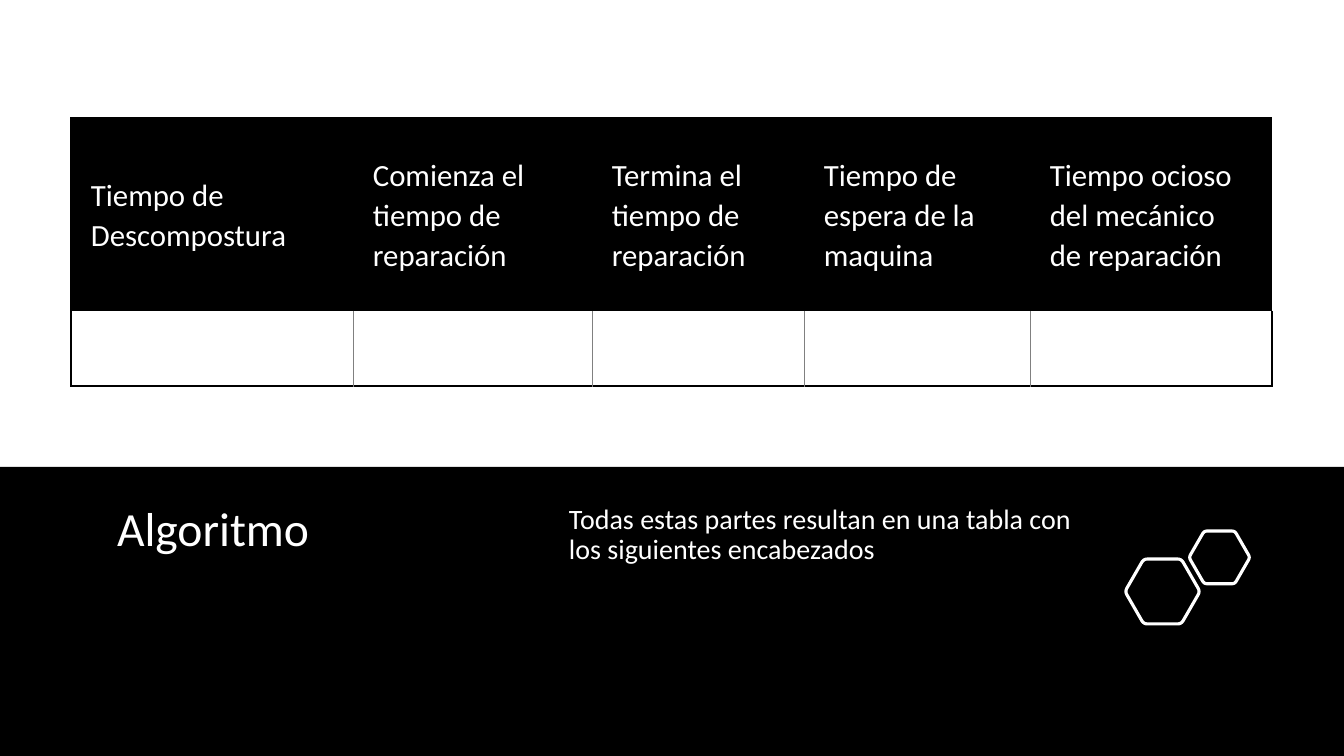
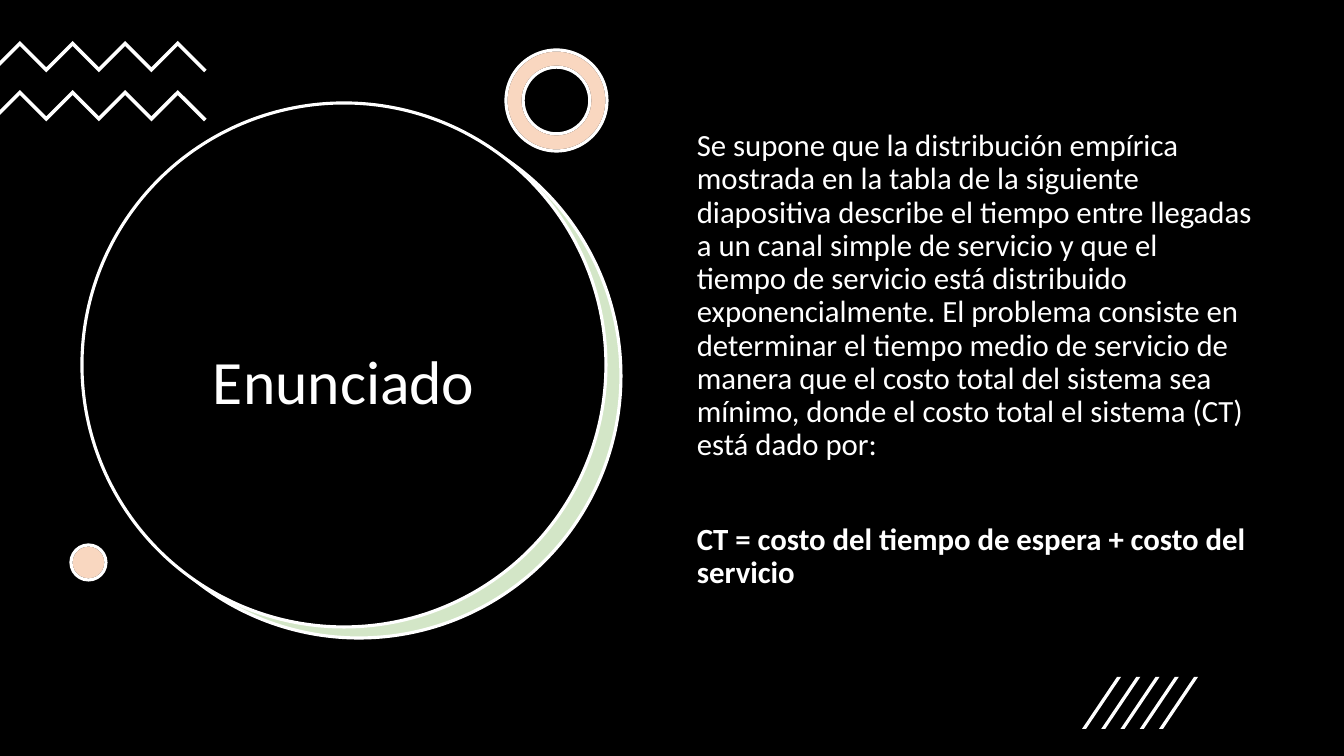
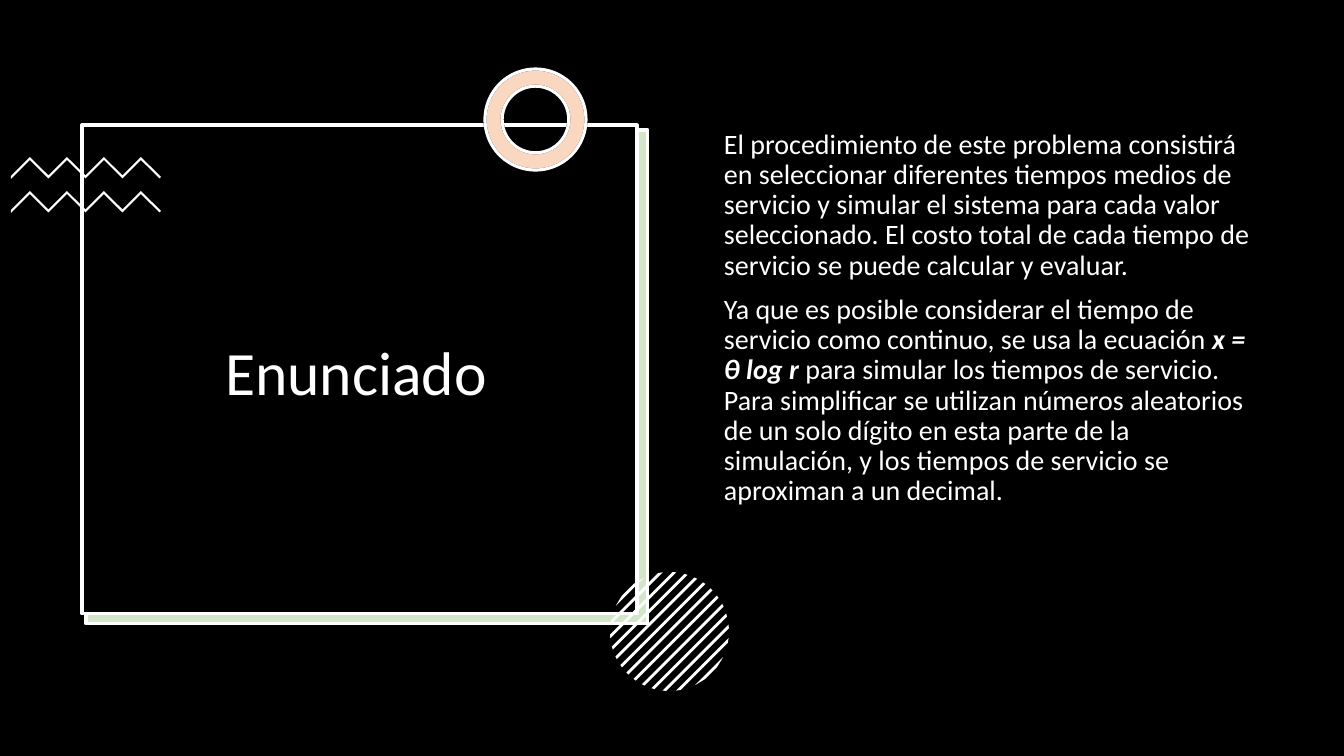
from math import cos, pi, sin, sqrt

from lxml.etree import SubElement
from pptx import Presentation
from pptx.dml.color import RGBColor
from pptx.enum.shapes import MSO_SHAPE as Kind
from pptx.enum.text import MSO_ANCHOR as Anchor, MSO_AUTO_SIZE as Fit, PP_ALIGN as Align
from pptx.oxml.ns import qn
from pptx.util import Emu, Pt

PX = 914400 / 100.8
WIDE, HIGH = 1344, 756
FONT = "Calibri"
BLACK, WHITE, GRAY = "000000", "FFFFFF", "808080"
GREEN, PEACH = "70AD47", "ED7D31"
NO_GRID = "{2D5ABB26-0587-4C30-8999-92F81FD0307C}"

HEADS = [
    ("Tiempo de Descompostura", 282),
    ("Comienza el tiempo de reparación", 239),
    ("Termina el tiempo de reparación", 212),
    ("Tiempo de espera de la maquina", 226),
    ("Tiempo ocioso del mecánico de reparación", 242),
]
CLAIM = (
    "Se supone que la distribución empírica mostrada en la tabla de la siguiente "
    "diapositiva describe el tiempo entre llegadas a un canal simple de servicio y "
    "que el tiempo de servicio está distribuido exponencialmente. El problema "
    "consiste en determinar el tiempo medio de servicio de manera que el costo total "
    "del sistema sea mínimo, donde el costo total el sistema (CT) está dado por:"
)
COST = "CT = costo del tiempo de espera + costo del servicio"
STEPS = (
    "El procedimiento de este problema consistirá en seleccionar diferentes tiempos "
    "medios de servicio y simular el sistema para cada valor seleccionado. El costo "
    "total de cada tiempo de servicio se puede calcular y evaluar."
)
MODEL = [
    "Ya que es posible considerar el tiempo de servicio como continuo, se usa la ecuación ",
    "x = θ log r",
    " para simular los tiempos de servicio. Para simplificar se utilizan números "
    "aleatorios de un solo dígito en esta parte de la simulación, y los tiempos de "
    "servicio se aproximan a un decimal.",
]


def px(num):
    """Turn px into EMU."""
    return Emu(round(num * PX))


def hue(code):
    """Turn a hex string into a colour."""
    return RGBColor.from_string(code)


def paint(shape, fill=None, edge=None, alpha=None):
    """Set the fill, outline and opacity of a shape."""
    shape.shadow.inherit = False
    if fill:
        shape.fill.solid()
        shape.fill.fore_color.rgb = hue(fill)
    else:
        shape.fill.background()
    if alpha:
        color = shape._element.spPr.find(qn("a:solidFill"))[0]
        SubElement(color, qn("a:alpha")).set("val", str(alpha * 1000))
    if edge:
        shape.line.color.rgb = hue(edge)
        shape.line.width = Pt(2.25)
    else:
        shape.line.fill.background()
    return shape


def draw(slide, kind, box, *look):
    """Add a painted preset shape."""
    return paint(slide.shapes.add_shape(kind, *map(px, box)), *look)


def trace(slide, points, *look):
    """Add a painted closed outline through points in px."""
    first, *rest = [(px(x), px(y)) for x, y in points]
    pen = slide.shapes.build_freeform(*first, scale=1.0)
    pen.add_line_segments(rest, close=True)
    return paint(pen.convert_to_shape(), *look)


def style(para, size, before=0, lead=0.9):
    """Set the font and spacing of a paragraph."""
    para.line_spacing = lead
    para.space_before = Pt(before)
    para.font.name = FONT
    para.font.size = Pt(size)
    para.font.color.rgb = hue(WHITE)


def title(slide, text, box, size, align, anchor):
    """Place the title above what is drawn so far."""
    head = slide.shapes.title
    slide.shapes._spTree.append(head._element)
    head.left, head.top, head.width, head.height = map(px, box)
    frame = head.text_frame
    frame.text = text
    frame.auto_size = Fit.NONE
    frame.vertical_anchor = anchor
    para = frame.paragraphs[0]
    style(para, size)
    para.alignment = align


def body(slide, box, size, paras, gap=10):
    """Add a text box; each paragraph is a list of runs."""
    frame = slide.shapes.add_textbox(*map(px, box)).text_frame
    frame.word_wrap = True
    for i, runs in enumerate(paras):
        para = frame.add_paragraph() if i else frame.paragraphs[0]
        style(para, size, gap if i else 0)
        for text in runs:
            para.add_run().text = text
    return frame.paragraphs


def frost(slide, kind, box, color, edge=None):
    """Lay a sheer tint over a white shape."""
    base = draw(slide, kind, box, WHITE, edge)
    return base, draw(slide, kind, box, color, WHITE, 30)


def card(slide, kind, back, front):
    """Draw a black card over its green offset."""
    frost(slide, kind, back, GREEN)
    draw(slide, kind, front, BLACK, WHITE)


def ring(slide, x, y):
    """Draw the peach ring."""
    for part in frost(slide, Kind.DONUT, (x, y, 101, 101), PEACH, BLACK):
        part.adjustments[0] = 0.17


def zigzag(slide, x, y, run, thick, lead, drop):
    """Draw two zigzag bands whose first peak is at x, y."""
    for top in (y, y + drop):
        turns = [(x + i * run, top + i % 2 * run) for i in range(7)]
        end, low = x + 7 * run, top + run
        upper = [(x - lead, top + lead), *turns, (end + thick / 2, low + thick / 2)]
        under = [(x - lead, top + lead), *turns, (end, low)]
        trace(slide, upper + [(a, b + thick) for a, b in reversed(under)], WHITE)


def slashes(slide, x, y, wide, high, count=5):
    """Draw equally spaced slanted bars in a box."""
    span, thick = 39, 4
    for i in range(count):
        left = x + i * (wide - span) / (count - 1)
        right = left + span
        trace(slide, [(left, y + high), (left + thick, y + high),
                      (right, y), (right - thick, y)], WHITE)


def hatch(slide, x, y, size, half=6, thick=2.8):
    """Draw diagonal stripes cut to a circle."""
    rad = size / 2
    pitch = (rad - 2) / half
    for i in range(-half, half + 1):
        points = []
        for side in (-1, 1):
            dist = i * pitch + side * thick / 2
            reach = sqrt(max(0, rad * rad - dist * dist))
            for way in (side, -side):
                points.append((x + rad + (dist + way * reach) / sqrt(2),
                               y + rad + (dist - way * reach) / sqrt(2)))
        trace(slide, points, WHITE)


def hexagon(slide, x, y, wide, cut=0.1):
    """Draw a regular hexagon with softened corners."""
    rad = wide / 2
    tips = [(x + rad + rad * cos(i * pi / 3), y + rad * sqrt(3) / 2 + rad * sin(i * pi / 3))
            for i in range(6)]
    points = []
    for i, tip in enumerate(tips):
        last, after = tips[i - 1], tips[(i + 1) % 6]
        for step in range(5):
            t = step / 4
            a, b = cut * (1 - t) ** 2, cut * t * t
            points.append(tuple(c + a * (p - c) + b * (n - c)
                                for p, c, n in zip(last, tip, after)))
    trace(slide, points, None, WHITE)


def border(cell, **sides):
    """Set cell borders, given as side=(colour, points) in L, R, T, B order."""
    props = cell._tc.get_or_add_tcPr()
    for side, (color, width) in sides.items():
        line = SubElement(props, qn("a:ln" + side), w=str(Pt(width)))
        fill = SubElement(line, qn("a:solidFill"))
        SubElement(fill, qn("a:srgbClr"), val=color)


def grid(slide, x, y, rows):
    """Add the table of headings with its empty row."""
    wide = sum(width for _, width in HEADS)
    table = slide.shapes.add_table(2, len(HEADS), *map(px, (x, y, wide, sum(rows)))).table
    table.first_row = table.horz_banding = False
    table._tbl.tblPr.find(qn("a:tableStyleId")).text = NO_GRID
    for row, high in zip(table.rows, rows):
        row.height = px(high)
    thick, thin = (BLACK, 1.5), (GRAY, 0.5)
    for i, (text, width) in enumerate(HEADS):
        table.columns[i].width = px(width)
        head, blank = table.cell(0, i), table.cell(1, i)
        left = thin if i else thick
        right = thin if i < len(HEADS) - 1 else thick
        border(head, **({} if i else {"L": thick}), T=thick)
        border(blank, L=left, R=right, B=thick)
        head.fill.solid()
        head.fill.fore_color.rgb = hue(BLACK)
        blank.fill.background()
        head.text = text
        head.vertical_anchor = Anchor.MIDDLE
        head.margin_left, head.margin_right = px(20), px(26)
        head.margin_top = head.margin_bottom = px(16)
        style(head.text_frame.paragraphs[0], 22, lead=1.07)


def table_slide(slide):
    """Build the slide of the algorithm table."""
    draw(slide, Kind.RECTANGLE, (0, 467, WIDE, HIGH - 467), BLACK)
    title(slide, "Algoritmo", (107, 500, 406, 174), 34, Align.LEFT, Anchor.TOP)
    body(slide, (559, 500, 543, 174), 20,
         [["Todas estas partes resultan en una tabla con los siguientes encabezados"]])
    hexagon(slide, 1125, 559, 75)
    hexagon(slide, 1189, 531, 61)
    grid(slide, 71, 118, (193, 75))


def circle_slide(slide):
    """Build the statement slide with a round card."""
    draw(slide, Kind.RECTANGLE, (0, 0, WIDE, HIGH), BLACK)
    card(slide, Kind.OVAL, (97, 114, 524, 524), (82, 103, 524, 524))
    title(slide, "Enunciado", (122, 207, 444, 355), 44, Align.CENTER, Anchor.MIDDLE)
    zigzag(slide, 20, 41, 26.3, 5, 20, 49)
    ring(slide, 506, 50)
    frost(slide, Kind.OVAL, (71, 545, 35, 35), PEACH, BLACK)
    paras = body(slide, (687, 125, 576, 480), 22, [[CLAIM], [COST]], 44)
    paras[1].font.bold = True
    slashes(slide, 1082, 677, 116, 52)


def square_slide(slide):
    """Build the statement slide with a square card."""
    draw(slide, Kind.RECTANGLE, (0, 0, WIDE, HIGH), BLACK)
    card(slide, Kind.RECTANGLE, (86, 130, 562, 494), (82, 125, 555, 489))
    zigzag(slide, 30, 157, 18.5, 3, 19, 34)
    ring(slide, 485, 69)
    hatch(slide, 610, 572, 119)
    title(slide, "Enunciado", (86, 153, 540, 446), 44, Align.CENTER, Anchor.MIDDLE)
    paras = body(slide, (714, 125, 548, 480), 20, [[STEPS], MODEL])
    font = paras[1].runs[1].font
    font.bold = font.italic = True


def main():
    """Build and save the slides."""
    deck = Presentation()
    deck.slide_width, deck.slide_height = px(WIDE), px(HIGH)
    for build in (table_slide, circle_slide, square_slide):
        build(deck.slides.add_slide(deck.slide_layouts[5]))
    deck.save("out.pptx")


if __name__ == "__main__":
    main()
